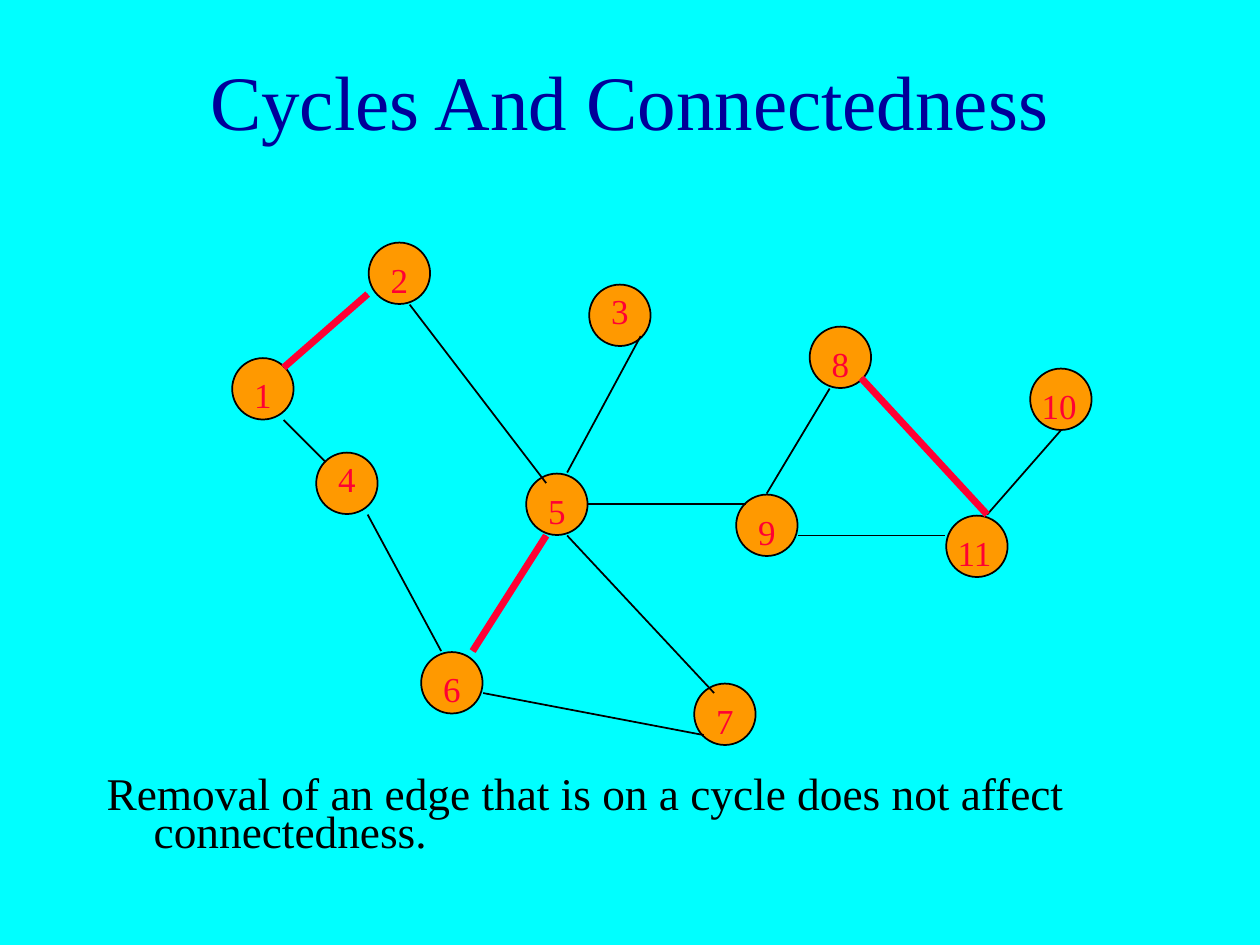
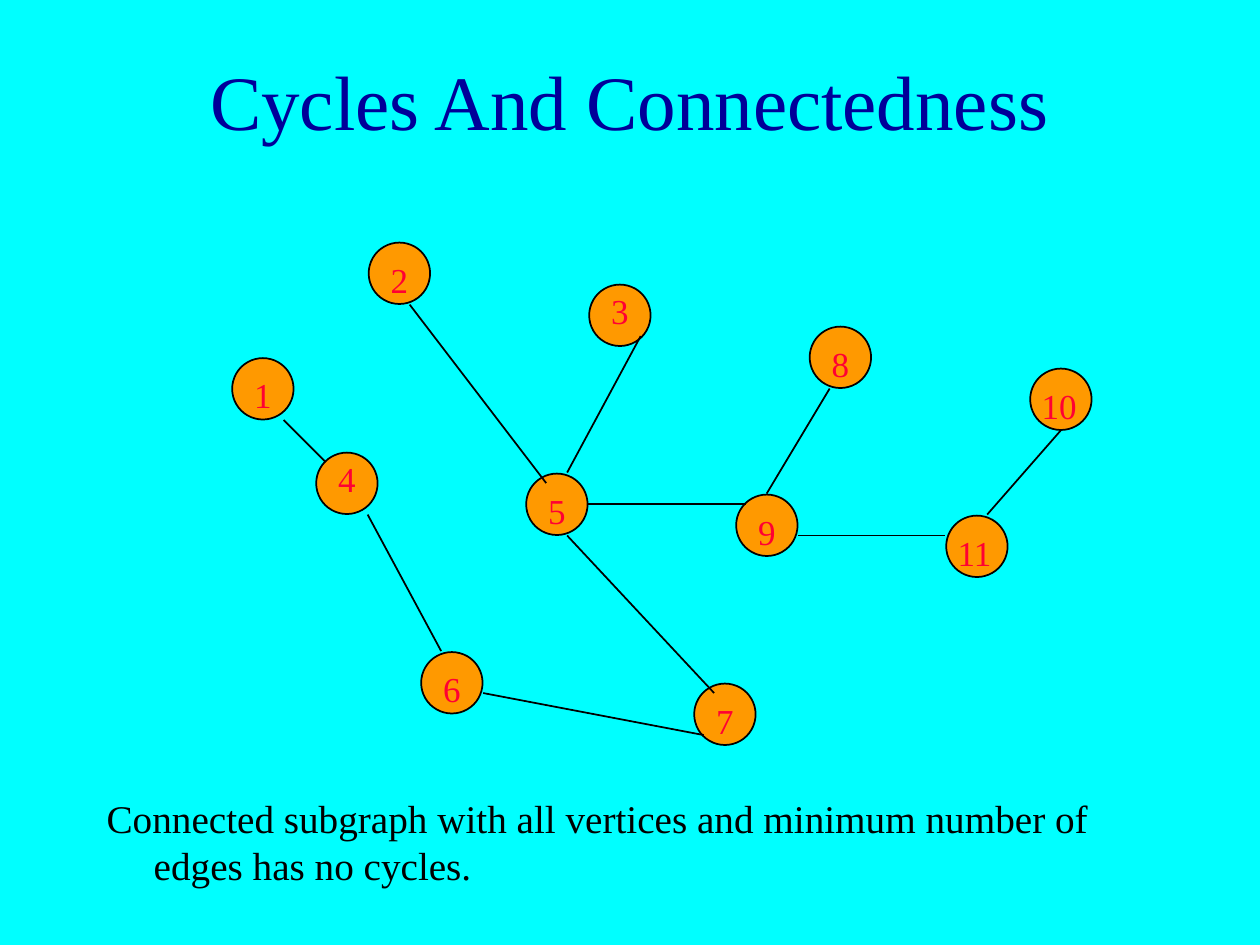
from dataclasses import dataclass

from lxml.etree import SubElement
from pptx import Presentation
from pptx.dml.color import RGBColor as RGB
from pptx.enum.shapes import MSO_CONNECTOR as Connector, MSO_SHAPE as Shape
from pptx.enum.text import MSO_ANCHOR as Anchor, MSO_AUTO_SIZE as AutoSize, PP_ALIGN as Align
from pptx.oxml.ns import qn
from pptx.util import Cm, Pt


@dataclass(frozen=True)
class Theme:
    font: str = "Times New Roman"
    background: RGB = RGB(0x00, 0xFF, 0xFF)
    title: RGB = RGB(0x00, 0x00, 0x99)
    body: RGB = RGB(0x00, 0x00, 0x00)
    vertex: RGB = RGB(0xFF, 0x99, 0x00)
    accent: RGB = RGB(0xFF, 0x00, 0x33)
    title_size: float = 44
    label_size: float = 20
    thin: float = 1
    thick: float = 4


@dataclass(frozen=True)
class Box:
    x: int
    y: int
    w: int
    h: int


THEME = Theme()
TITLE = "Cycles And Connectedness"
TITLE_BOX = Box(Cm(1.9), Cm(0.42), Cm(21.59), Cm(3.18))
GRAPH_BOX = Box(Cm(4.66), Cm(4.87), Cm(17.36), Cm(10.16))
GRAPH_ROWS = 48
VERTEX_SIZE = 5.85
VERTEX_INSET = 0.1
LABEL_HEIGHT = 5.2

VERTICES = {
    1: (0, 11), 2: (13, 0), 3: (34, 4), 4: (8, 20), 5: (28, 22), 6: (18, 39),
    7: (44, 42), 8: (55, 8), 9: (48, 24), 10: (76, 12), 11: (68, 26),
}
RAISED_LABELS = {3, 4}
LABEL_WIDTHS = {10: 6, 11: 10}

TREE_EDGES = {
    (2, 5): (17, 6, 30, 23),
    (1, 4): (5, 17, 9, 21),
    (4, 6): (13, 26, 20, 39),
    (6, 7): (24, 43, 45, 47),
    (3, 5): (39, 9, 32, 22),
    (5, 7): (32, 28, 46, 43),
    (8, 9): (57, 14, 51, 24),
    (11, 10): (72, 26, 79, 18),
    (5, 9): (34, 25, 49, 25),
    (9, 11): (54, 28, 68, 28),
}
CYCLE_EDGES = {
    (2, 1): (13, 5, 5, 12),
    (5, 6): (30, 28, 23, 39),
    (8, 11): (60, 13, 72, 26),
}


def add_text(s, text, box, size, color, align=Align.LEFT, anchor=Anchor.TOP,
             before=0, spacing=None, hanging=0, grow=False):
    sp = s.shapes.add_textbox(box.x, box.y, box.w, box.h)
    tf = sp.text_frame
    tf.word_wrap = True
    tf.vertical_anchor = anchor
    tf.auto_size = AutoSize.SHAPE_TO_FIT_TEXT if grow else AutoSize.NONE
    p = tf.paragraphs[0]
    p.alignment = align
    p.space_before = Pt(before)
    p.line_spacing = spacing
    if hanging:
        pPr = p._p.get_or_add_pPr()
        pPr.set("marL", str(hanging))
        pPr.set("indent", str(-hanging))
    r = p.add_run()
    r.text = text
    r.font.name = THEME.font
    r.font.size = Pt(size)
    r.font.color.rgb = color


def add_vertex(s, box):
    sp = s.shapes.add_shape(Shape.OVAL, box.x, box.y, box.w, box.h)
    sp.shadow.inherit = False
    sp.fill.solid()
    sp.fill.fore_color.rgb = THEME.vertex
    sp.line.color.rgb = THEME.body
    sp.line.width = Pt(THEME.thin)


def add_edge(s, ends, color, width):
    line = s.shapes.add_connector(Connector.STRAIGHT, *ends)
    line.line.color.rgb = color
    line.line.width = Pt(width)
    SubElement(line._element.spPr, qn("a:effectLst"))


def add_graph(s, box, edges, highlighted):
    unit = box.h / GRAPH_ROWS

    def place(col, row, w, h):
        return Box(round(box.x + col * unit), round(box.y + row * unit),
                   round(w * unit), round(h * unit))

    def draw_edges(group, color, width):
        for x1, y1, x2, y2 in group.values():
            start, end = place(x1, y1, 0, 0), place(x2, y2, 0, 0)
            add_edge(s, (start.x, start.y, end.x, end.y), color, width)

    for col, row in VERTICES.values():
        add_vertex(s, place(col + VERTEX_INSET, row + VERTEX_INSET, VERTEX_SIZE, VERTEX_SIZE))
    draw_edges(edges, THEME.body, THEME.thin)
    for number, (col, row) in VERTICES.items():
        left = col if number >= 10 else col + 1
        top = row if number in RAISED_LABELS else row + 1
        add_text(s, str(number), place(left, top, LABEL_WIDTHS.get(number, 3), LABEL_HEIGHT),
                 THEME.label_size, THEME.accent, before=12.5, grow=True)
    draw_edges(highlighted, THEME.accent, THEME.thick)


def add_graph_slide(prs, edges, highlighted, caption, caption_box, **caption_format):
    s = prs.slides.add_slide(prs.slide_layouts[6])
    s.background.fill.solid()
    s.background.fill.fore_color.rgb = THEME.background
    add_text(s, TITLE, TITLE_BOX, THEME.title_size, THEME.title,
             align=Align.CENTER, anchor=Anchor.MIDDLE)
    add_graph(s, GRAPH_BOX, edges, highlighted)
    add_text(s, caption, caption_box, color=THEME.body, hanging=Cm(0.95), **caption_format)


def main():
    prs = Presentation()
    prs.slide_width, prs.slide_height = Cm(25.4), Cm(19.05)
    add_graph_slide(prs, TREE_EDGES | CYCLE_EDGES, CYCLE_EDGES,
                    "Removal of an edge that is on a cycle does not affect connectedness.",
                    Box(Cm(1.9), Cm(15.6), Cm(21.59), Cm(1.98)),
                    size=25.9, before=7, spacing=0.7)
    add_graph_slide(prs, TREE_EDGES, {},
                    "Connected subgraph with all vertices and minimum number of edges has no cycles.",
                    Box(Cm(1.9), Cm(15.88), Cm(21.59), Cm(2.11)),
                    size=22.4, before=8)
    prs.save("out.pptx")


if __name__ == "__main__":
    main()
